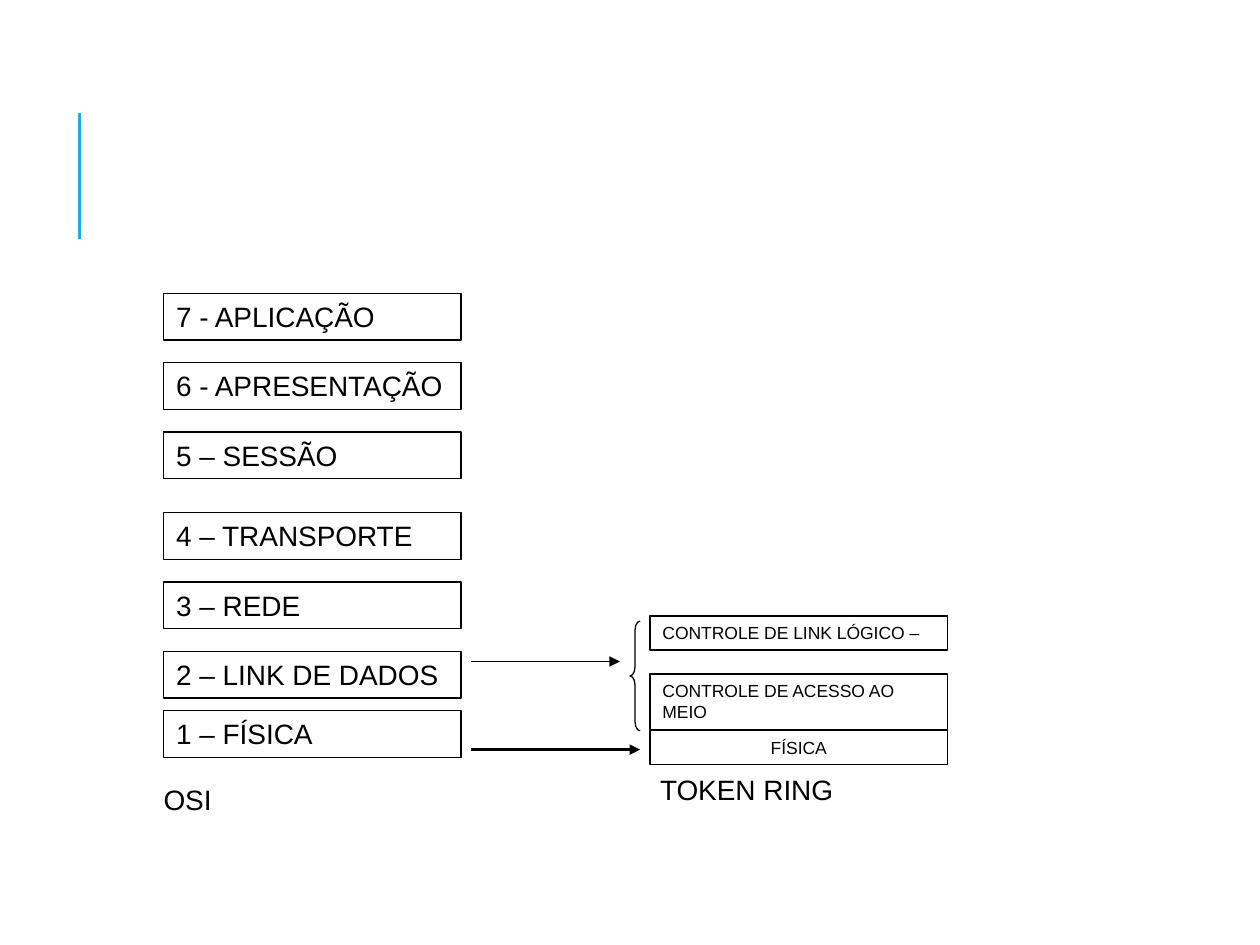
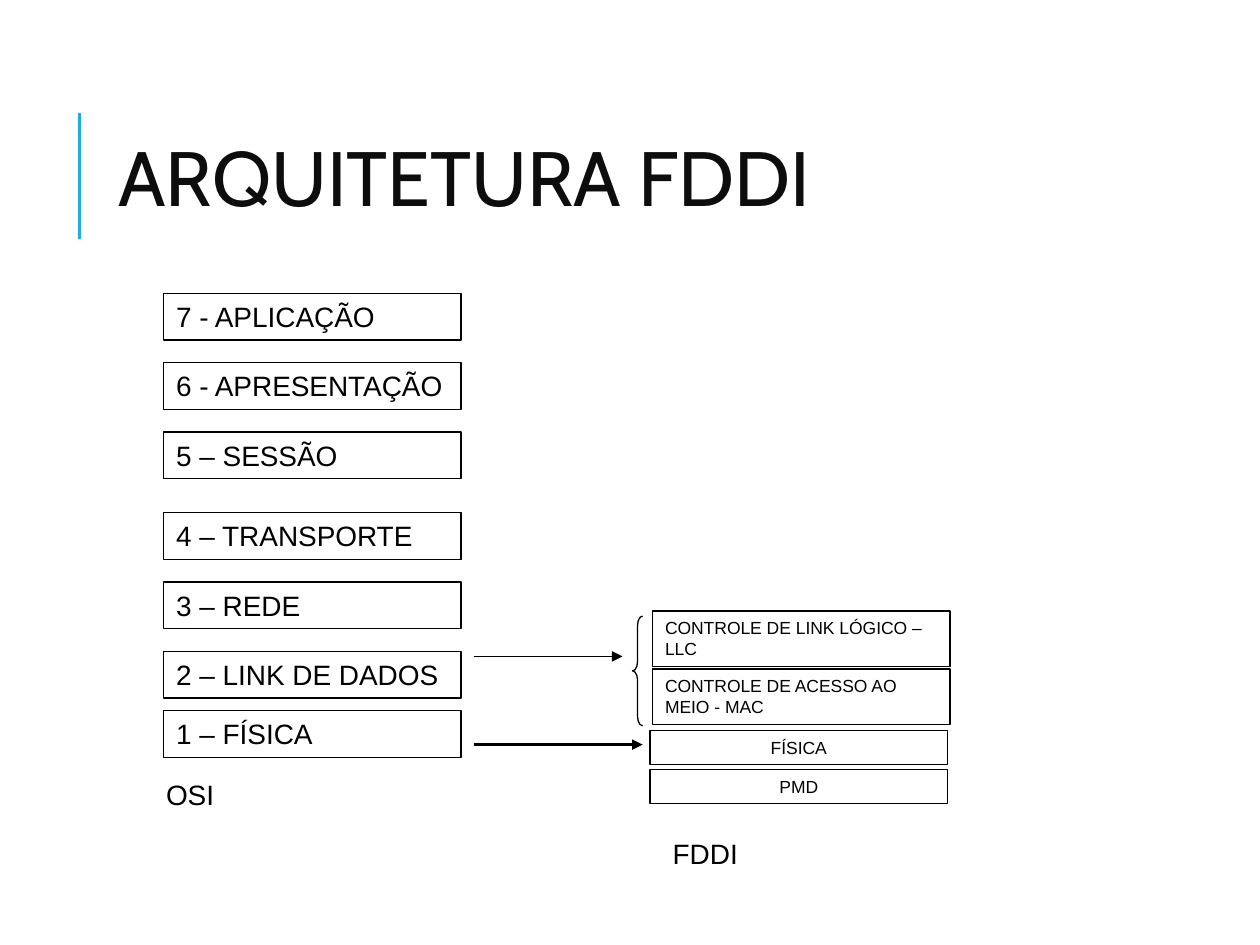
from lxml import etree
from pptx import Presentation
from pptx.dml.color import RGBColor
from pptx.enum.shapes import MSO_CONNECTOR, MSO_SHAPE
from pptx.enum.text import MSO_ANCHOR, MSO_AUTO_SIZE, PP_ALIGN
from pptx.oxml.ns import qn
from pptx.util import Inches, Pt

STRAIGHT = MSO_CONNECTOR.STRAIGHT
RECTANGLE, LEFT_BRACE = MSO_SHAPE.RECTANGLE, MSO_SHAPE.LEFT_BRACE
TOP, MIDDLE = MSO_ANCHOR.TOP, MSO_ANCHOR.MIDDLE
LEFT, CENTER = PP_ALIGN.LEFT, PP_ALIGN.CENTER
GROW, FIXED = MSO_AUTO_SIZE.SHAPE_TO_FIT_TEXT, MSO_AUTO_SIZE.NONE

BLACK = RGBColor(0x00, 0x00, 0x00)
TITLE_INK = RGBColor(0x0D, 0x0D, 0x0D)
ACCENT = RGBColor(0x1C, 0xAD, 0xE4)

TITLE_FONT = {"name": "Cabin", "size": Pt(44)}
LAYER_FONT = {"name": "Arial", "size": Pt(16)}
DETAIL_FONT = {"name": "Arial", "size": Pt(10)}

LAYER_WIDTH = 2.36
LAYER_HEIGHT = 0.37
ONE_LINE, TWO_LINES = 0.27, 0.44
OSI_LEFT, OSI_TOP, OSI_STEP = 1.3, 2.33, 0.55
OSI_GROUPS = [
    (0, ["7 - APLICAÇÃO", "6 - APRESENTAÇÃO", "5 – SESSÃO"]),
    (1.74, ["4 – TRANSPORTE", "3 – REDE", "2 – LINK DE DADOS"]),
    (3.31, ["1 – FÍSICA"]),
]
PHYSICAL_LEFT, PHYSICAL_TOP, PHYSICAL_STEP = 5.16, 5.8, 0.31


def set_text(shape, text, font, color=BLACK, align=LEFT, **frame_values):
    frame = shape.text_frame
    frame.text = text
    for name, value in frame_values.items():
        setattr(frame, name, value)
    para = frame.paragraphs[0]
    para.alignment = align
    for name, value in font.items():
        setattr(para.font, name, value)
    para.font.color.rgb = color
    return para


def add_outline(page, kind, left, top, width, height):
    shape = page.shapes.add_shape(
        kind, Inches(left), Inches(top), Inches(width), Inches(height))
    shape.shadow.inherit = False
    shape.fill.background()
    shape.line.color.rgb = BLACK
    shape.line.width = Pt(0.75)
    return shape


def add_layer(page, text, left, top, height=LAYER_HEIGHT, font=LAYER_FONT,
              align=LEFT):
    layer = add_outline(page, RECTANGLE, left, top, LAYER_WIDTH, height)
    set_text(layer, text, font, align=align, word_wrap=True,
             vertical_anchor=TOP, auto_size=GROW)


def add_label(page, text, left, top, width):
    box = page.shapes.add_textbox(
        Inches(left), Inches(top), Inches(width), Inches(LAYER_HEIGHT))
    set_text(box, text, LAYER_FONT, word_wrap=False, auto_size=GROW)


def add_line(page, start, end, color, width, arrow=False):
    line = page.shapes.add_connector(
        STRAIGHT, *(Inches(value) for value in (*start, *end)))
    line.line.color.rgb = color
    line.line.width = Pt(width)
    properties = line.element.spPr
    if arrow:
        etree.SubElement(properties.find(qn("a:ln")), qn("a:tailEnd"),
                         type="triangle")
    etree.SubElement(properties, qn("a:effectLst"))
    return line


def add_accent_to_master(deck, page):
    """Draw the title's accent line on a page, then move it to the master."""
    line = add_line(page, (0.63, 1.9), (0.63, 0.9), ACCENT, 1.5)
    line.element.nvCxnSpPr.cNvPr.id = 20
    deck.slide_master.element.cSld.spTree.append(line.element)


def add_title(page, text):
    title = page.shapes.title
    title.left, title.top = Inches(0.84), Inches(0.64)
    title.width, title.height = Inches(7.97), Inches(1.64)
    para = set_text(title, text, TITLE_FONT, TITLE_INK,
                    vertical_anchor=MIDDLE, auto_size=FIXED)
    para.line_spacing = 0.8


def add_osi_stack(page, left, top):
    for offset, layers in OSI_GROUPS:
        for index, text in enumerate(layers):
            add_layer(page, text, left, top + offset + index * OSI_STEP)


def add_data_link(page, left, top, control, control_height, access):
    """Split layer 2 in two boxes, with the brace and arrows that lead there."""
    add_layer(page, control, left, top, control_height, DETAIL_FONT)
    add_layer(page, access, left, top + 0.46, TWO_LINES, DETAIL_FONT)
    brace = add_outline(page, LEFT_BRACE, left - 0.16, top + 0.04, 0.08, 0.87)
    brace.adjustments[0] = 0.9
    for drop, gap, width in ((0.36, 0.24, 0.75), (1.06, 0.08, 1.5)):
        add_line(page, (left - 1.42, top + drop), (left - gap, top + drop),
                 BLACK, width, arrow=True)


def add_physical(page, left, top, layers):
    for index, text in enumerate(layers):
        add_layer(page, text, left, top + index * PHYSICAL_STEP, ONE_LINE,
                  DETAIL_FONT, CENTER)


def build_architecture(page, data_link, physical, labels):
    add_osi_stack(page, OSI_LEFT, OSI_TOP)
    add_data_link(page, *data_link)
    add_physical(page, PHYSICAL_LEFT, PHYSICAL_TOP, physical)
    for label in labels:
        add_label(page, *label)


def main():
    deck = Presentation()
    deck.slide_width, deck.slide_height = Inches(10), Inches(7.5)
    title_only, blank = deck.slide_layouts[5], deck.slide_layouts[6]

    token_ring = deck.slides.add_slide(blank)
    add_accent_to_master(deck, token_ring)
    build_architecture(
        token_ring,
        (5.16, 4.89, "CONTROLE DE LINK LÓGICO –", ONE_LINE,
         "CONTROLE DE ACESSO AO MEIO"),
        ["FÍSICA"],
        [("OSI", 1.2, 6.16, 0.6), ("TOKEN RING", 5.14, 6.08, 1.6)])

    fddi = deck.slides.add_slide(title_only)
    add_title(fddi, "ARQUITETURA FDDI")
    build_architecture(
        fddi,
        (5.18, 4.85, "CONTROLE DE LINK LÓGICO – LLC", TWO_LINES,
         "CONTROLE DE ACESSO AO MEIO - MAC"),
        ["FÍSICA", "PMD"],
        [("OSI", 1.22, 6.12, 0.6), ("FDDI", 5.24, 6.59, 0.75)])

    deck.save("out.pptx")


if __name__ == "__main__":
    main()
